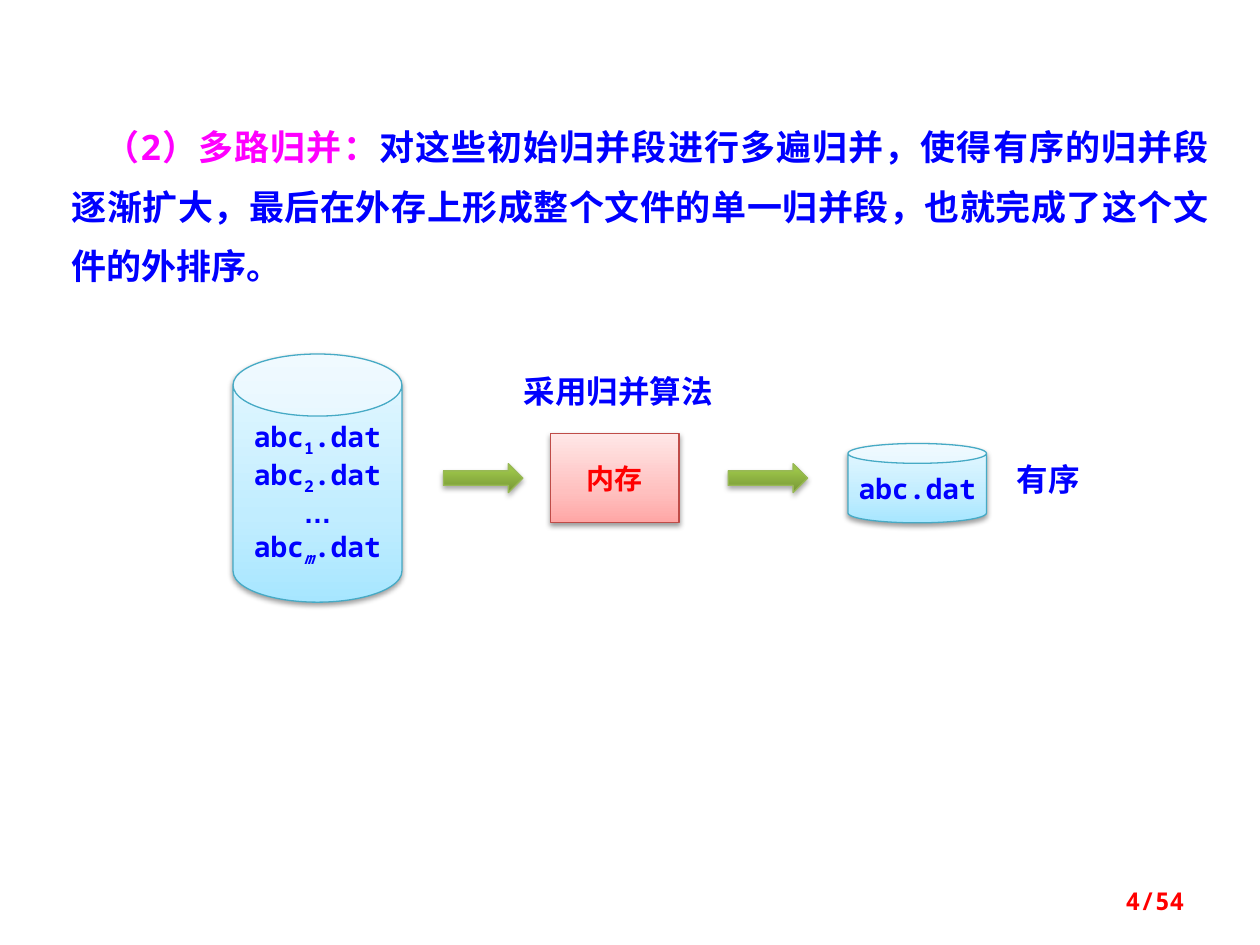
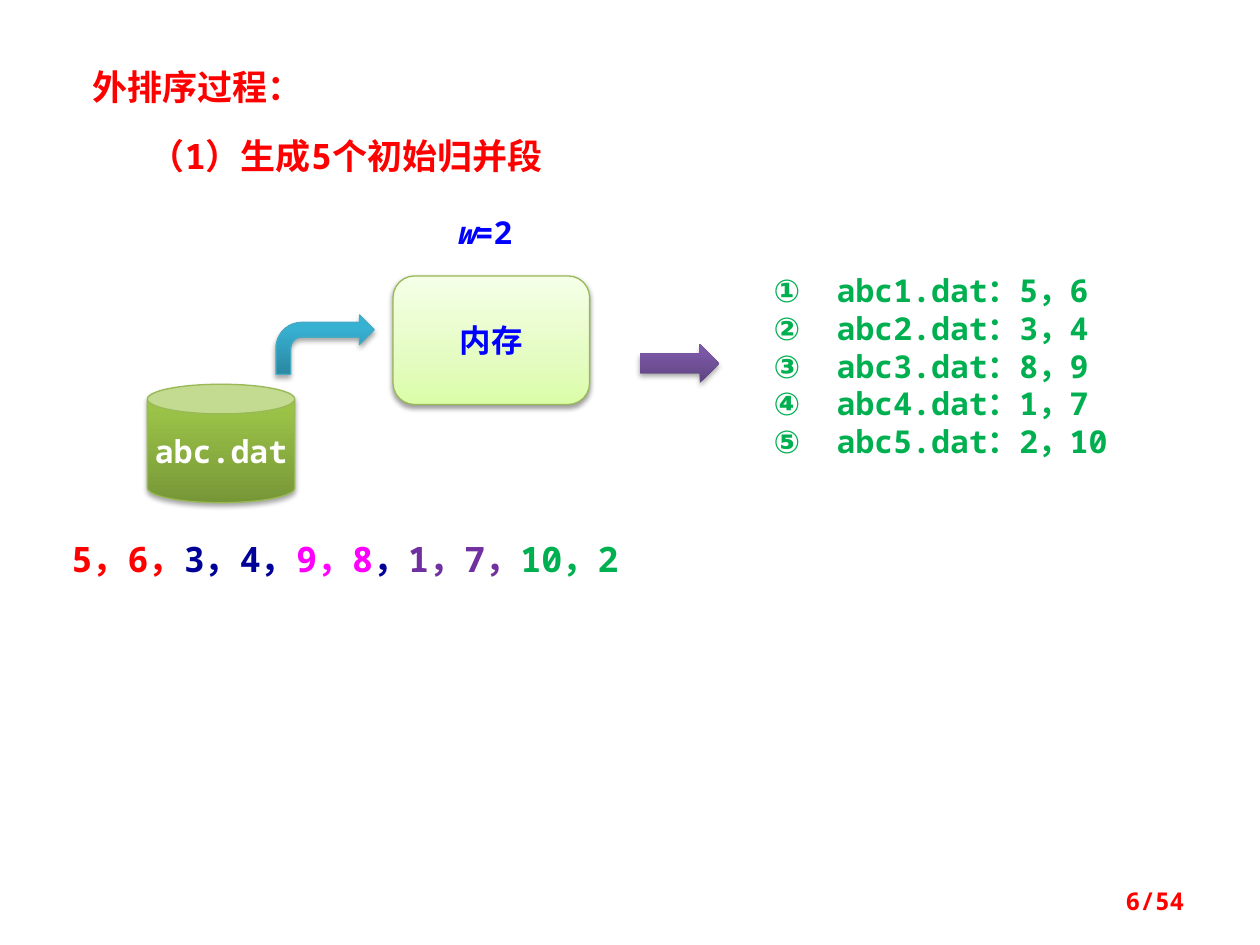
import lxml.etree
import pptx
import pptx.dml.color
import pptx.enum.shapes
import pptx.enum.text
import pptx.oxml.ns
import pptx.util

Inches = pptx.util.Inches
SHAPE = pptx.enum.shapes.MSO_SHAPE
ALIGN = pptx.enum.text.PP_ALIGN
ANCHOR = pptx.enum.text.MSO_ANCHOR
qn = pptx.oxml.ns.qn

RED, BLUE, NAVY = "FF0000", "0000FF", "000099"
MAGENTA, PURPLE, GREEN, WHITE = "FF00FF", "7030A0", "00B050", "FFFFFF"
GREEN_LINE, CYAN_LINE, RED_LINE = "98B955", "46AAC5", "BF4C48"
PALE_RED = ((0, "FFA6A5"), (35, "FFC0BF"), (100, "FFE7E7"))
PALE_CYAN = ((0, "A7E6FF"), (35, "C1EDFF"), (100, "E7F8FF"))
PALE_GREEN = ((0, "DAFDA7"), (35, "E4FCC2"), (100, "F5FFE7"))
DEEP_GREEN = ((0, "779737"), (80, "9BC348"), (100, "9DC746"))
DEEP_CYAN = ((0, "2A88A2"), (80, "37B1D2"), (100, "34B4D6"))
DEEP_PURPLE = ((0, "5F4480"), (80, "7B58A6"), (100, "7C57A8"))
PAGE_TOTAL = 54


def rgb(color):
    return pptx.dml.color.RGBColor.from_string(color)


def add_element(parent, tag, **attributes):
    element = lxml.etree.SubElement(parent, qn(tag))
    for name, value in attributes.items():
        element.set(name, str(value))
    return element


class Deck:
    """Builds slides that share one text and shape style."""

    def __init__(self):
        self.presentation = pptx.Presentation()
        self.presentation.slide_width = Inches(10)
        self.presentation.slide_height = Inches(7.5)
        self.latin_font = "Noto Sans Mono"
        self.asian_font = "Noto Sans CJK SC"
        self.slide = None

    def new_slide(self, page):
        self.slide = self.presentation.slides.add_slide(self.presentation.slide_layouts[6])
        self.text((7.17, 6.95, 2.33, 0.4), f"{page}/{PAGE_TOTAL}", RED, 14,
                  align=ALIGN.RIGHT, anchor=ANCHOR.MIDDLE)

    def style_run(self, run, size, color, italic=False, base=0, font=None):
        run.font.size = pptx.util.Pt(size)
        run.font.bold = True
        run.font.italic = italic
        run.font.color.rgb = rgb(color)
        run.font.name = font or self.latin_font
        properties = run.font._element
        add_element(properties, "a:ea", typeface=font or self.asian_font)
        if base:
            properties.set("baseline", str(base * 1000))

    def fill_text(self, shape, content, color, size, align=ALIGN.LEFT, anchor=ANCHOR.TOP,
                  wrap=True, insets=(0.1, 0.05, 0.1, 0.05)):
        """Fills a shape; content is a string or a list of paragraphs made of (text, style) runs."""
        frame = shape.text_frame
        frame.word_wrap = wrap
        frame.vertical_anchor = anchor
        frame.margin_left, frame.margin_top, frame.margin_right, frame.margin_bottom = map(Inches, insets)
        paragraphs = [[(content, {})]] if isinstance(content, str) else content
        for index, runs in enumerate(paragraphs):
            paragraph = frame.add_paragraph() if index else frame.paragraphs[0]
            paragraph.alignment = align
            for text, style in runs:
                run = paragraph.add_run()
                run.text = text
                self.style_run(run, **{"size": size, "color": color, **style})
        return frame

    def text(self, box, content, color, size, **options):
        shape = self.slide.shapes.add_textbox(*map(Inches, box))
        return self.fill_text(shape, content, color, size, **options)

    def panel(self, box, content, color, size, **options):
        shape = self.slide.shapes.add_shape(SHAPE.RECTANGLE, *map(Inches, box))
        shape.shadow.inherit = False
        shape.fill.solid()
        shape.fill.fore_color.rgb = rgb(WHITE)
        shape.line.fill.background()
        return self.fill_text(shape, content, color, size, **options)

    def block(self, kind, box, stops, line=None, shadow=(35, 1.8)):
        """Adds a shape with a vertical gradient and a soft shadow below it."""
        shape = self.slide.shapes.add_shape(kind, *map(Inches, box))
        shape.fill.gradient()
        shape.fill.gradient_angle = 90
        stop_list = shape._element.spPr.find(qn("a:gradFill")).find(qn("a:gsLst"))
        for stop in list(stop_list):
            stop_list.remove(stop)
        for position, color in stops:
            stop = add_element(stop_list, "a:gs", pos=position * 1000)
            add_element(stop, "a:srgbClr", val=color)
        if line:
            shape.line.color.rgb = rgb(line)
            shape.line.width = pptx.util.Pt(0.75)
        else:
            shape.line.fill.background()
        shape.shadow.inherit = False
        opacity, distance = shadow
        outer = add_element(shape._element.spPr.find(qn("a:effectLst")), "a:outerShdw",
                            blurRad=pptx.util.Pt(3.1), dist=pptx.util.Pt(distance),
                            dir=90 * 60000, rotWithShape=0)
        tint = add_element(outer, "a:srgbClr", val="000000")
        add_element(tint, "a:alpha", val=opacity * 1000)
        return shape

    def labelled_block(self, kind, box, stops, line, content, color, size, shadow=(38, 1.6)):
        shape = self.block(kind, box, stops, line, shadow)
        self.fill_text(shape, content, color, size, align=ALIGN.CENTER, anchor=ANCHOR.MIDDLE,
                       wrap=False, insets=(0, 0, 0, 0))
        return shape

    def indent(self, paragraph, first, left=0, numbering=None):
        properties = paragraph._p.get_or_add_pPr()
        properties.set("marL", str(Inches(left)))
        properties.set("indent", str(Inches(first)))
        if numbering:
            add_element(properties, "a:buAutoNum", type=numbering)


def merge_slide(deck):
    deck.new_slide(4)
    frame = deck.panel(
        (0.47, 0.78, 9.22, 1.58),
        [[("（2）多路归并：", {"color": MAGENTA}),
          ("对这些初始归并段进行多遍归并，使得有序的归并段逐渐扩大，"
           "最后在外存上形成整个文件的单一归并段，也就完成了这个文件的外排序。", {})]],
        BLUE, 20, align=ALIGN.JUSTIFY, insets=(0.1, 0.08, 0.1, 0.12))
    frame.paragraphs[0].line_spacing = pptx.util.Pt(34)
    deck.indent(frame.paragraphs[0], 0.26)

    def segment(number, **style):
        return [("abc", {}), (number, {"base": -25, **style}), (".dat", {})]

    segments = [segment("1"), segment("2"), [("…", {"font": "Arial"})], segment("m", italic=True)]
    source = deck.labelled_block(SHAPE.CAN, (1.85, 2.81, 1.34, 1.97), PALE_CYAN, CYAN_LINE,
                                 segments, BLUE, 16)
    source.adjustments[0] = 0.368
    deck.labelled_block(SHAPE.RECTANGLE, (4.37, 3.44, 1.02, 0.71), PALE_RED, RED_LINE,
                        "内存", RED, 16)
    deck.labelled_block(SHAPE.CAN, (6.73, 3.52, 1.1, 0.63), PALE_CYAN, CYAN_LINE,
                        "abc.dat", BLUE, 16)
    for left in (3.52, 5.78):
        deck.block(SHAPE.RIGHT_ARROW, (left, 3.68, 0.63, 0.23), DEEP_GREEN, GREEN_LINE)
    deck.text((4.06, 2.9, 1.81, 0.4), "采用归并算法", BLUE, 18)
    deck.text((7.97, 3.6, 0.94, 0.4), "有序", BLUE, 18)


def initial_runs_slide(deck):
    deck.new_slide(6)
    deck.text((0.47, 0.47, 2.19, 0.44), "外排序过程：", RED, 20, align=ALIGN.CENTER)
    deck.text((1.09, 1.02, 4.38, 0.44), "（1）生成5个初始归并段", RED, 20)
    deck.text((3.52, 1.64, 0.78, 0.4), [[("w", {"italic": True}), ("=2", {})]], BLUE, 18)

    deck.labelled_block(SHAPE.ROUNDED_RECTANGLE, (3.12, 2.19, 1.56, 1.02), PALE_GREEN,
                        GREEN_LINE, "内存", BLUE, 18)
    deck.labelled_block(SHAPE.CAN, (1.17, 3.05, 1.17, 0.94), DEEP_GREEN, GREEN_LINE,
                        "abc.dat", WHITE, 18, shadow=(35, 1.8))
    deck.block(SHAPE.BENT_ARROW, (2.19, 2.5, 0.78, 0.47), DEEP_CYAN, CYAN_LINE)
    deck.block(SHAPE.RIGHT_ARROW, (5.08, 2.73, 0.63, 0.31), DEEP_PURPLE)

    records = (("5，6，", RED), ("3，4，", NAVY), ("9，8", MAGENTA),
               ("，", NAVY), ("1，7，", PURPLE), ("10，2", GREEN))
    deck.text((0.47, 4.22, 4.84, 0.44),
              [[(text, {"color": color}) for text, color in records]], RED, 20)

    run_values = ("5，6", "3，4", "8，9", "1，7", "2，10")
    frame = deck.panel((5.94, 2.03, 3.44, 1.75),
                       [[(f"abc{number}.dat：{values}", {})]
                        for number, values in enumerate(run_values, 1)],
                       GREEN, 18, insets=(0.2, 0.12, 0.1, 0.12))
    for paragraph in frame.paragraphs:
        deck.indent(paragraph, -0.5, 0.5, "circleNumDbPlain")


def main():
    deck = Deck()
    merge_slide(deck)
    initial_runs_slide(deck)
    deck.presentation.save("out.pptx")


if __name__ == "__main__":
    main()
